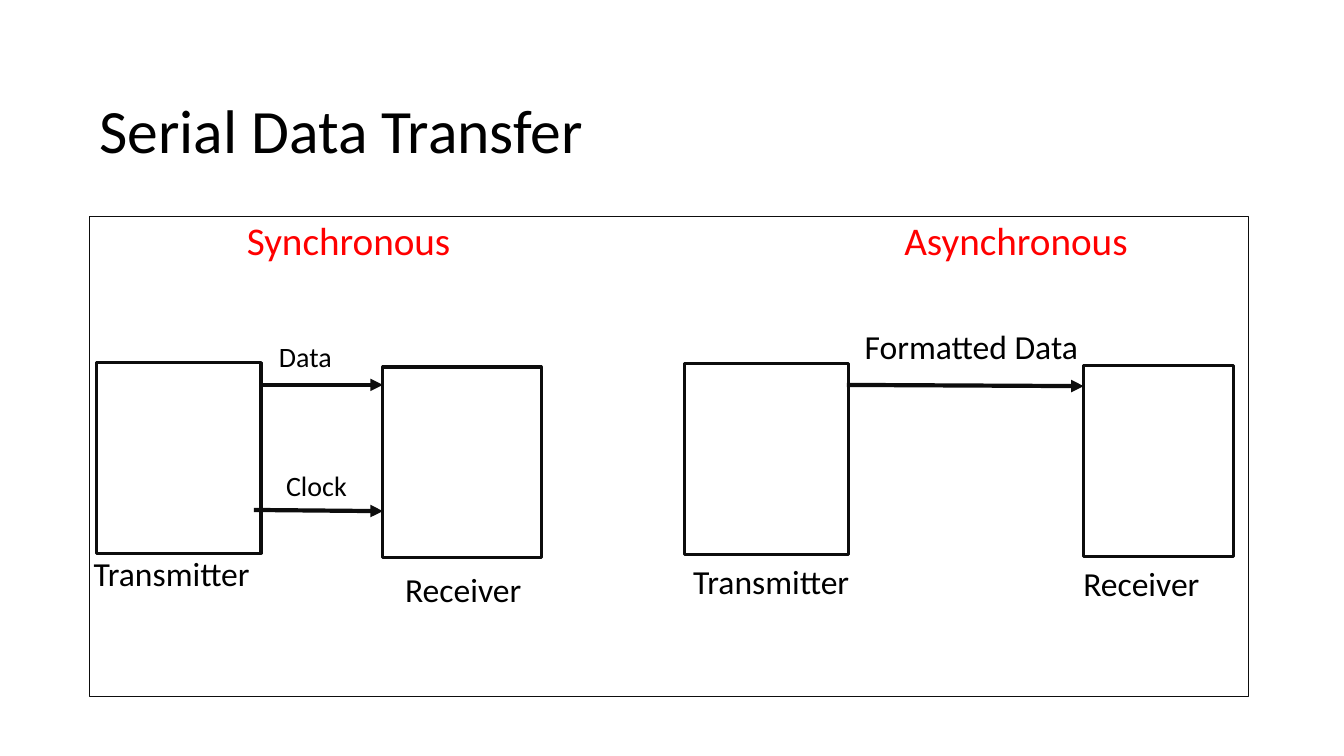
from dataclasses import dataclass

from lxml.etree import SubElement
from pptx import Presentation
from pptx.dml.color import RGBColor
from pptx.enum.shapes import MSO_CONNECTOR, MSO_SHAPE
from pptx.enum.text import MSO_ANCHOR, PP_ALIGN
from pptx.oxml.ns import qn
from pptx.shapes.autoshape import Shape
from pptx.slide import Slide
from pptx.util import Cm, Pt

BLACK = RGBColor(0x00, 0x00, 0x00)
INK = RGBColor(0x0D, 0x0D, 0x0D)
RED = RGBColor(0xFF, 0x00, 0x00)
FONT = "Calibri"
BOX_HEIGHT = 4.8


@dataclass(frozen=True)
class Box:
    left: float
    top: float
    width: float
    height: float = BOX_HEIGHT
    line: float = 2.25


@dataclass(frozen=True)
class Label:
    text: str
    left: float
    top: float
    width: float
    height: float = 1.27
    size: int = 24
    anchor: MSO_ANCHOR = MSO_ANCHOR.TOP


@dataclass(frozen=True)
class Arrow:
    left: float
    top: float
    right: float
    bottom: float


FRAME = Box(2.26, 5.46, 29.21, 12.09, 0.75)
HEADS = ("Synchronous", "Asynchronous")
STOPS = (3.71, 20.28)

BOXES = (
    Box(2.44, 9.14, 4.14),
    Box(9.65, 9.25, 3.99),
    Box(17.25, 9.17, 4.14),
    Box(27.31, 9.22, 3.78),
)

ARROWS = (
    Arrow(6.58, 9.7, 9.65, 9.7),
    Arrow(6.4, 12.85, 9.65, 12.88),
    Arrow(21.34, 9.7, 27.31, 9.73),
)

LABELS = (
    Label("Serial Data Transfer", 2.26, 1.4, 29.21, 3.68, 44, MSO_ANCHOR.MIDDLE),
    Label("Data", 6.78, 8.43, 2.87, 1.12, 20),
    Label("Clock", 6.96, 11.68, 2.87, 1.12, 20),
    Label("Transmitter", 2.11, 13.82, 7.01),
    Label("Receiver", 9.96, 14.2, 5.74),
    Label("Transmitter", 17.22, 14, 6.35),
    Label("Receiver", 27.05, 14.05, 5.74),
    Label("Formatted Data", 21.54, 8.08, 7.7),
)


def draw_box(slide: Slide, box: Box) -> Shape:
    shape = slide.shapes.add_shape(
        MSO_SHAPE.RECTANGLE,
        Cm(box.left), Cm(box.top), Cm(box.width), Cm(box.height),
    )
    shape.shadow.inherit = False
    shape.fill.background()
    shape.line.color.rgb = INK
    shape.line.width = Pt(box.line)
    return shape


def draw_heads(frame: Shape) -> None:
    text = frame.text_frame
    text.vertical_anchor = MSO_ANCHOR.TOP
    para = text.paragraphs[0]
    para.text = "".join(f"\t{head}" for head in HEADS)
    para.alignment = PP_ALIGN.LEFT
    para.line_spacing = 0.9
    para.font.name = FONT
    para.font.size = Pt(28)
    para.font.color.rgb = RED
    props = para.font._element.getparent()
    tabs = SubElement(props, qn("a:tabLst"))
    props.insert(props.index(para.font._element), tabs)
    for stop in STOPS:
        SubElement(tabs, qn("a:tab"), pos=str(Cm(stop)), algn="l")


def draw_label(slide: Slide, label: Label) -> None:
    area = slide.shapes.add_textbox(
        Cm(label.left), Cm(label.top), Cm(label.width), Cm(label.height)
    )
    text = area.text_frame
    text.word_wrap = True
    text.vertical_anchor = label.anchor
    para = text.paragraphs[0]
    para.text = label.text
    para.font.name = FONT
    para.font.size = Pt(label.size)
    para.font.color.rgb = BLACK


def draw_arrow(slide: Slide, arrow: Arrow) -> None:
    link = slide.shapes.add_connector(
        MSO_CONNECTOR.STRAIGHT,
        Cm(arrow.left), Cm(arrow.top), Cm(arrow.right), Cm(arrow.bottom),
    )
    link.line.color.rgb = INK
    link.line.width = Pt(3)
    SubElement(link.line._get_or_add_ln(), qn("a:tailEnd"), type="triangle")
    SubElement(link._element.spPr, qn("a:effectLst"))


def main() -> None:
    deck = Presentation()
    deck.slide_width, deck.slide_height = Cm(33.87), Cm(19.05)
    slide = deck.slides.add_slide(deck.slide_layouts[6])
    draw_heads(draw_box(slide, FRAME))
    for box in BOXES:
        draw_box(slide, box)
    for arrow in ARROWS:
        draw_arrow(slide, arrow)
    for label in LABELS:
        draw_label(slide, label)
    deck.save("out.pptx")


if __name__ == "__main__":
    main()
